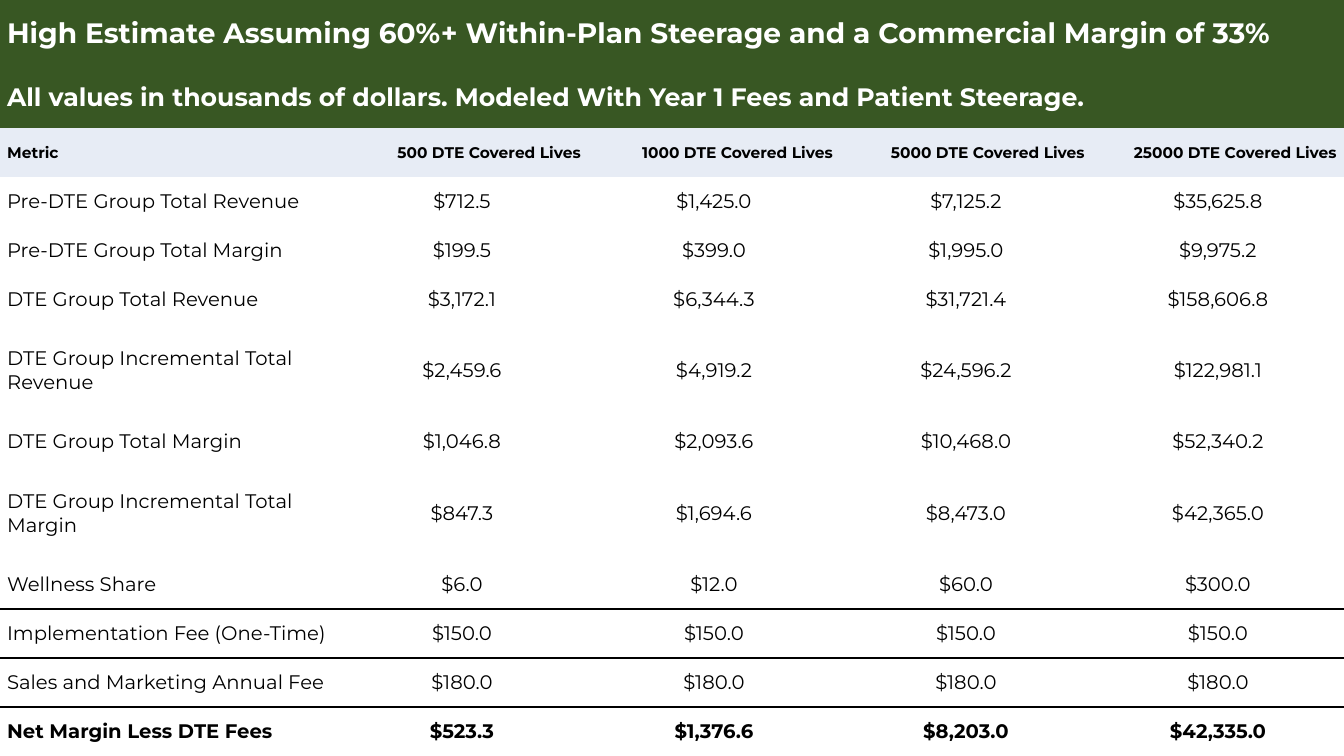
from dataclasses import dataclass

from lxml.etree import SubElement
from pptx import Presentation
from pptx.dml.color import RGBColor
from pptx.enum.text import MSO_ANCHOR, PP_ALIGN
from pptx.oxml import parse_xml
from pptx.oxml.ns import nsdecls, qn
from pptx.util import Inches, Pt


@dataclass(frozen=True)
class Theme:
    font: str = "Montserrat"
    banner: str = "385723"
    header: str = "E7ECF5"
    ink: str = "000000"
    light: str = "FFFFFF"
    title_size: int = 20
    subtitle_size: int = 18
    header_size: int = 11
    body_size: int = 14
    rule_width: int = 1
    indent: float = 0.07


TITLE = "High Estimate Assuming 60%+ Within-Plan Steerage and a Commercial Margin of 33%"
SUBTITLE = "All values in thousands of dollars. Modeled With Year 1 Fees and Patient Steerage."
COVERED_LIVES = (500, 1000, 5000, 25000)
METRICS = [
    ("Pre-DTE Group Total Revenue", 712.5, 1425.0, 7125.2, 35625.8),
    ("Pre-DTE Group Total Margin", 199.5, 399.0, 1995.0, 9975.2),
    ("DTE Group Total Revenue", 3172.1, 6344.3, 31721.4, 158606.8),
    ("DTE Group Incremental Total Revenue", 2459.6, 4919.2, 24596.2, 122981.1),
    ("DTE Group Total Margin", 1046.8, 2093.6, 10468.0, 52340.2),
    ("DTE Group Incremental Total Margin", 847.3, 1694.6, 8473.0, 42365.0),
    ("Wellness Share", 6.0, 12.0, 60.0, 300.0),
    ("Implementation Fee (One-Time)", 150.0, 150.0, 150.0, 150.0),
    ("Sales and Marketing Annual Fee", 180.0, 180.0, 180.0, 180.0),
    ("Net Margin Less DTE Fees", 523.3, 1376.6, 8203.0, 42335.0),
]
RULED_METRICS = ("Wellness Share", "Sales and Marketing Annual Fee")
NET_METRIC = "Net Margin Less DTE Fees"

SLIDE_WIDTH, SLIDE_HEIGHT = 13.33, 7.5
METRIC_SHARE = 0.25
TITLE_HEIGHT, SUBTITLE_HEIGHT, TALL_HEIGHT = 0.67, 0.6, 0.93
NO_STYLE = "{2D5ABB26-0587-4C30-8999-92F81FD0307C}"


def write_text(frame, text, *, font, size, color, bold=False,
               align=PP_ALIGN.LEFT, indent=0):
    paragraph = frame.paragraphs[0]
    paragraph.alignment = align
    properties = paragraph._p.get_or_add_pPr()
    for side in ("marL", "marR"):
        properties.set(side, str(Inches(indent)))
    run = paragraph.add_run()
    run.text = text
    run.font.name = font
    run.font.size = Pt(size)
    run.font.bold = bold
    run.font.color.rgb = RGBColor.from_string(color)


def row_heights():
    """Share the height left by the banner and the two-line rows equally."""
    wrapped = ["Incremental" in metric[0] for metric in METRICS]
    left = SLIDE_HEIGHT - TITLE_HEIGHT - SUBTITLE_HEIGHT - TALL_HEIGHT * sum(wrapped)
    single = left / (1 + wrapped.count(False))
    return [TITLE_HEIGHT, SUBTITLE_HEIGHT, single,
            *(TALL_HEIGHT if tall else single for tall in wrapped)]


class EstimateSlide:
    def __init__(self, slide, theme):
        self.slide = slide
        self.theme = theme

    def add_grid(self, column_shares, heights):
        frame = self.slide.shapes.add_table(
            len(heights), len(column_shares), 0, 0,
            Inches(SLIDE_WIDTH), Inches(SLIDE_HEIGHT))
        self.grid = frame.table
        self.grid.first_row = self.grid.horz_banding = False
        self.grid._tbl.tblPr.find(qn("a:tableStyleId")).text = NO_STYLE
        for column, share in zip(self.grid.columns, column_shares):
            column.width = Inches(SLIDE_WIDTH * share)
        for row, height in zip(self.grid.rows, heights):
            row.height = Inches(height)

    def add_cell(self, row, column, text, fill=None, **text_format):
        cell = self.grid.cell(row, column)
        cell.margin_left = cell.margin_right = cell.margin_top = cell.margin_bottom = 0
        cell.vertical_anchor = MSO_ANCHOR.MIDDLE
        if fill:
            cell.fill.solid()
            cell.fill.fore_color.rgb = RGBColor.from_string(fill)
        else:
            cell.fill.background()
        style = {"font": self.theme.font, "color": self.theme.ink,
                 "indent": self.theme.indent} | text_format
        write_text(cell.text_frame, text, **style)

    def add_banner(self, row, text, size):
        last = len(self.grid.columns) - 1
        self.grid.cell(row, 0).merge(self.grid.cell(row, last))
        self.add_cell(row, 0, text, fill=self.theme.banner, size=size,
                      color=self.theme.light, bold=True)

    def add_row(self, row, label, entries, align, **cell_format):
        self.add_cell(row, 0, label, **cell_format)
        for column, entry in enumerate(entries, 1):
            self.add_cell(row, column, entry, align=align, **cell_format)

    def add_rule_below(self, row):
        """Draw the shared edge on both rows that meet at it."""
        for column in range(len(self.grid.columns)):
            for edge_row, edge in ((row, "lnB"), (row + 1, "lnT")):
                line = parse_xml(
                    f'<a:{edge} {nsdecls("a")} w="{Pt(self.theme.rule_width)}"/>')
                fill = SubElement(line, qn("a:solidFill"))
                SubElement(fill, qn("a:srgbClr"), val=self.theme.ink)
                cell = self.grid.cell(edge_row, column)
                cell._tc.get_or_add_tcPr().insert(0, line)


def main():
    presentation = Presentation()
    presentation.slide_width = Inches(SLIDE_WIDTH)
    presentation.slide_height = Inches(SLIDE_HEIGHT)
    theme = Theme()
    blank_layout = presentation.slide_layouts[6]
    estimate = EstimateSlide(presentation.slides.add_slide(blank_layout), theme)

    value_share = (1 - METRIC_SHARE) / len(COVERED_LIVES)
    estimate.add_grid([METRIC_SHARE] + [value_share] * len(COVERED_LIVES), row_heights())
    estimate.add_banner(0, TITLE, theme.title_size)
    estimate.add_banner(1, SUBTITLE, theme.subtitle_size)
    estimate.add_row(2, "Metric", [f"{lives} DTE Covered Lives" for lives in COVERED_LIVES],
                     PP_ALIGN.RIGHT, fill=theme.header, size=theme.header_size, bold=True)
    for row, (metric, *amounts) in enumerate(METRICS, 3):
        estimate.add_row(row, metric, [f"${amount:,.1f}" for amount in amounts],
                         PP_ALIGN.CENTER, size=theme.body_size, bold=metric == NET_METRIC)
        if metric in RULED_METRICS:
            estimate.add_rule_below(row)

    presentation.save("out.pptx")


if __name__ == "__main__":
    main()
